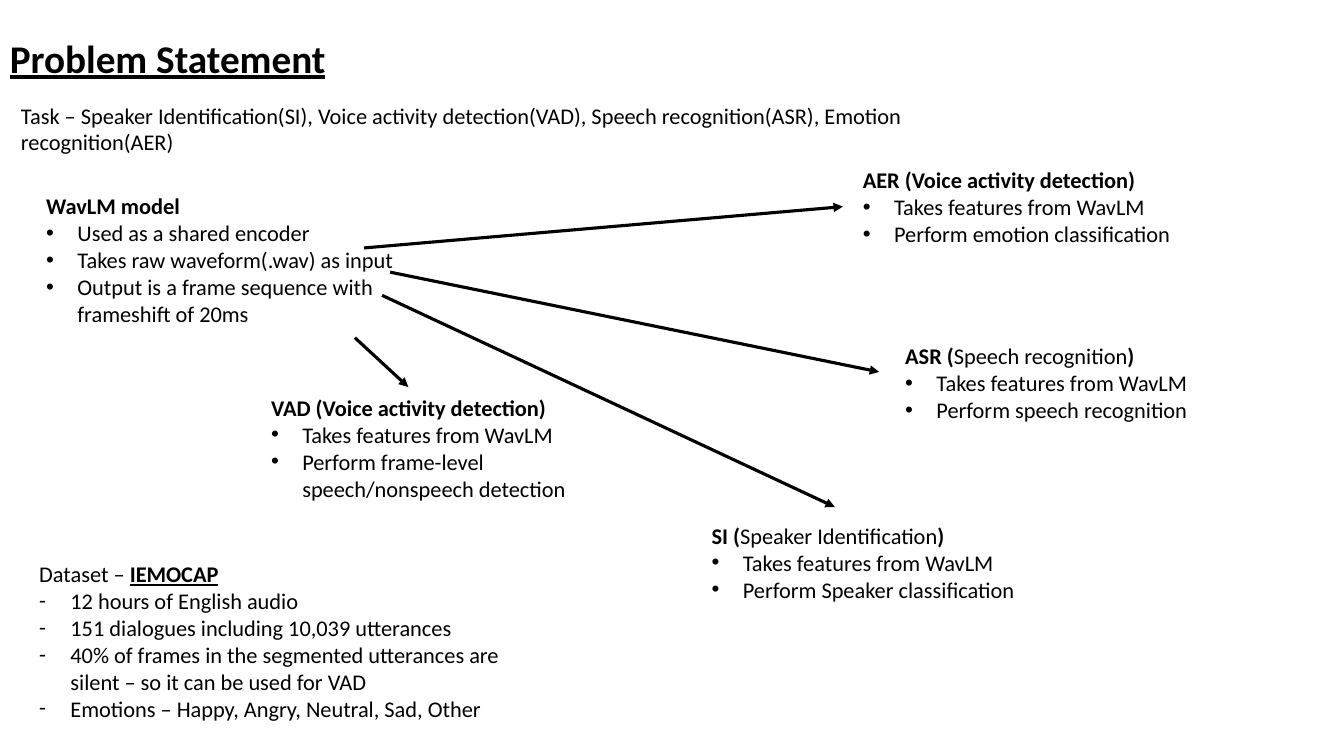
from dataclasses import dataclass

from lxml import etree
from pptx import Presentation
from pptx.dml.color import RGBColor
from pptx.enum import shapes, text
from pptx.oxml import ns
from pptx.util import Emu, Pt

PX = 9144


@dataclass(frozen=True)
class Theme:
    font: str = "Calibri"
    bullet_font: str = "Arial"
    ink: RGBColor = RGBColor(0, 0, 0)
    title_size: int = 28
    body_size: int = 16
    arrow_width: float = 2.25
    indent: int = 31


THEME = Theme()


def px(length):
    return Emu(length * PX)


def add_run(paragraph, words, size=THEME.body_size, bold=False, underline=False):
    run = paragraph.add_run()
    run.text = words
    run.font.name = THEME.font
    run.font.size = Pt(size)
    run.font.bold = bold
    run.font.underline = underline
    run.font.color.rgb = THEME.ink


def add_bullet(paragraph, mark):
    props = paragraph._p.get_or_add_pPr()
    props.set("marL", str(px(THEME.indent)))
    props.set("indent", str(-px(THEME.indent)))
    face = THEME.bullet_font if mark == "•" else THEME.font
    etree.SubElement(props, ns.qn("a:buFont"), typeface=face)
    etree.SubElement(props, ns.qn("a:buChar"), char=mark)


def add_text(slide, box, heading, points=(), mark="•", wrap=True):
    frame = slide.shapes.add_textbox(*map(px, box)).text_frame
    frame.word_wrap = wrap
    frame.auto_size = text.MSO_AUTO_SIZE.SHAPE_TO_FIT_TEXT
    for words, style in heading:
        add_run(frame.paragraphs[0], words, **style)
    for point in points:
        paragraph = frame.add_paragraph()
        add_bullet(paragraph, mark)
        add_run(paragraph, point)


def add_header(slide, left, top):
    title_style = dict(size=THEME.title_size, bold=True, underline=True)
    add_text(slide, (left, top, 344, 57), [("Problem Statement", title_style)], wrap=False)
    task = ("Task – Speaker Identification(SI), Voice activity detection(VAD), "
            "Speech recognition(ASR), Emotion recognition(AER)")
    add_text(slide, (left + 11, top + 67, 922, 94), [(task, {})])


def add_encoder(slide, box):
    add_text(slide, box, [("WavLM model", dict(bold=True))], [
        "Used as a shared encoder",
        "Takes raw waveform(.wav) as input",
        "Output is a frame sequence with frameshift of 20ms",
    ])


def add_dataset(slide, box):
    heading = [("Dataset – ", {}), ("IEMOCAP", dict(bold=True, underline=True))]
    add_text(slide, box, heading, [
        "12 hours of English audio",
        "151 dialogues including 10,039 utterances",
        "40% of frames in the segmented utterances are silent – so it can be used for VAD",
        "Emotions – Happy, Angry, Neutral, Sad, Other",
    ], mark="-")


def add_task(slide, box, short, full, bold_full, goal):
    heading = [(f"{short} (", dict(bold=True)), (full, dict(bold=bold_full)),
               (")", dict(bold=True))]
    add_text(slide, box, heading, ["Takes features from WavLM", f"Perform {goal}"])


def add_arrow(slide, start, end):
    arrow = slide.shapes.add_connector(
        shapes.MSO_CONNECTOR.STRAIGHT, *map(px, start + end))
    arrow.line.color.rgb = THEME.ink
    arrow.line.width = Pt(THEME.arrow_width)
    etree.SubElement(arrow.line._get_or_add_ln(), ns.qn("a:tailEnd"), type="triangle")
    etree.SubElement(arrow._element.spPr, ns.qn("a:effectLst"))


TASKS = [
    ((696, 513, 353, 91), "SI", "Speaker Identification", False,
     "Speaker classification", (379, 293), (828, 503)),
    ((259, 386, 353, 118), "VAD", "Voice activity detection", True,
     "frame-level speech/nonspeech detection", (352, 335), (405, 384)),
    ((846, 160, 353, 91), "AER", "Voice activity detection", True,
     "emotion classification", (361, 246), (836, 205)),
    ((888, 335, 353, 94), "ASR", "Speech recognition", False,
     "speech recognition", (387, 270), (872, 369)),
]


def main():
    deck = Presentation()
    deck.slide_width, deck.slide_height = px(1333), px(750)
    slide = deck.slides.add_slide(deck.slide_layouts[6])
    add_header(slide, 0, 29)
    add_dataset(slide, (29, 551, 501, 172))
    add_encoder(slide, (36, 186, 365, 172))
    for box, short, full, bold_full, goal, start, end in TASKS:
        add_task(slide, box, short, full, bold_full, goal)
        add_arrow(slide, start, end)
    deck.save("out.pptx")


if __name__ == "__main__":
    main()
